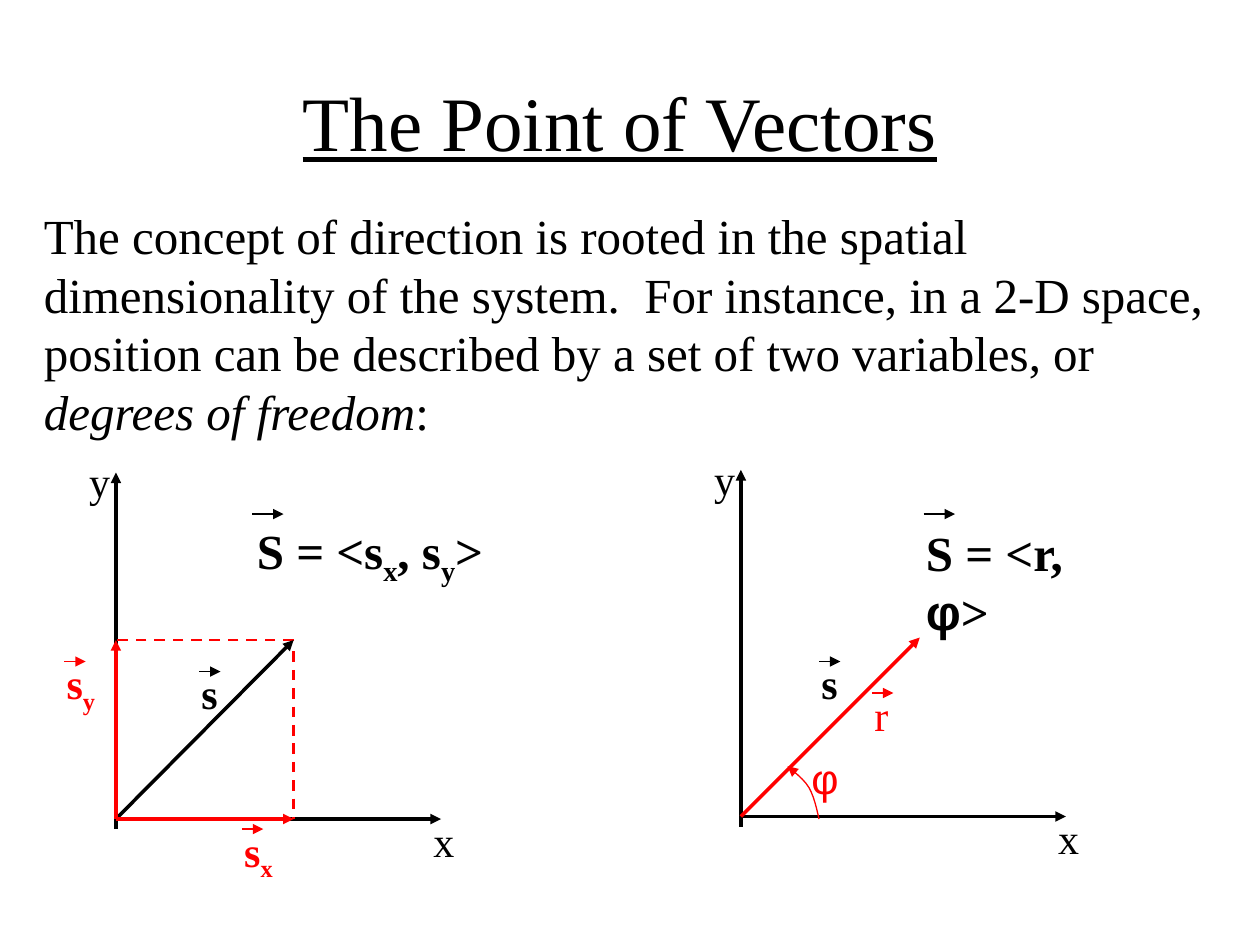
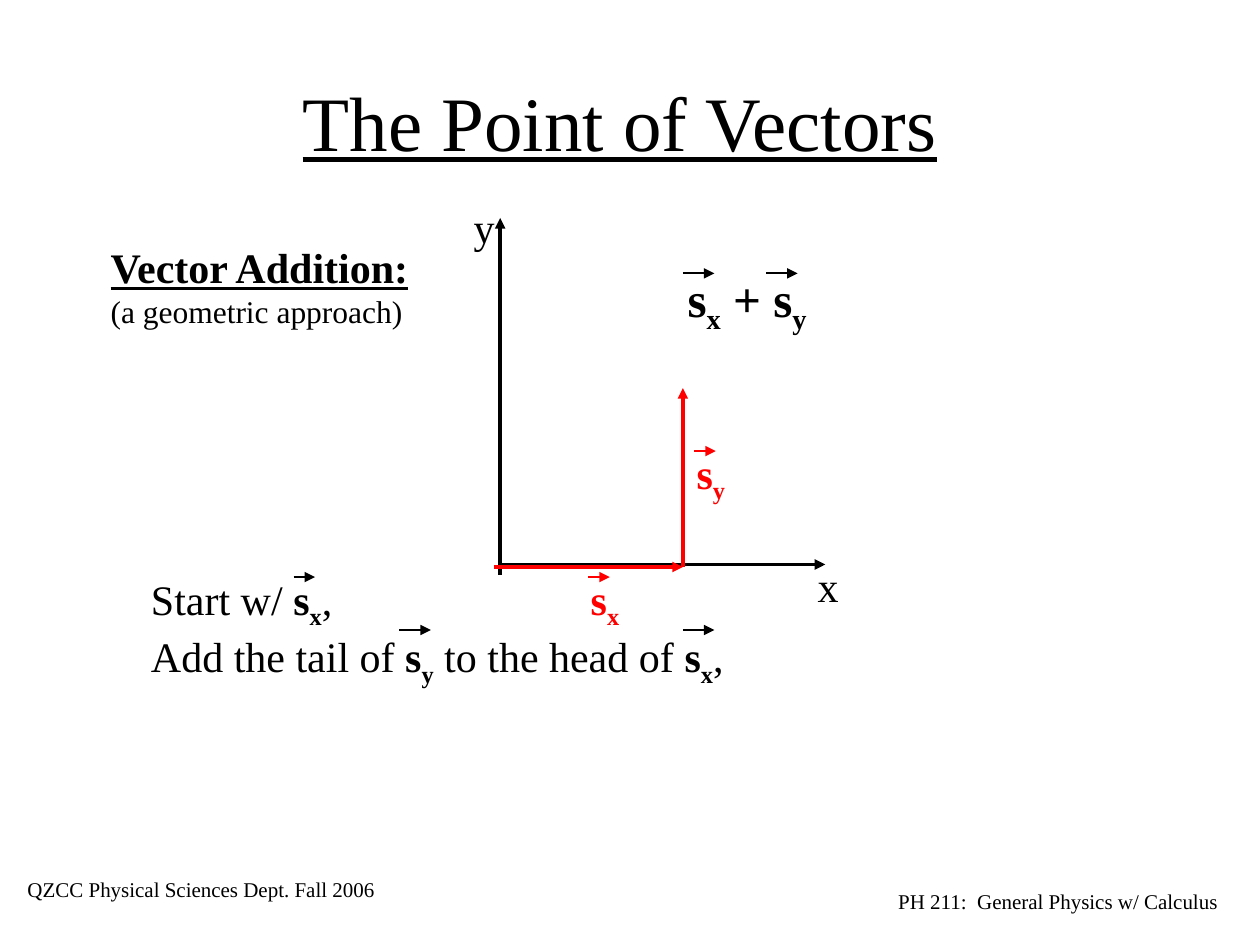
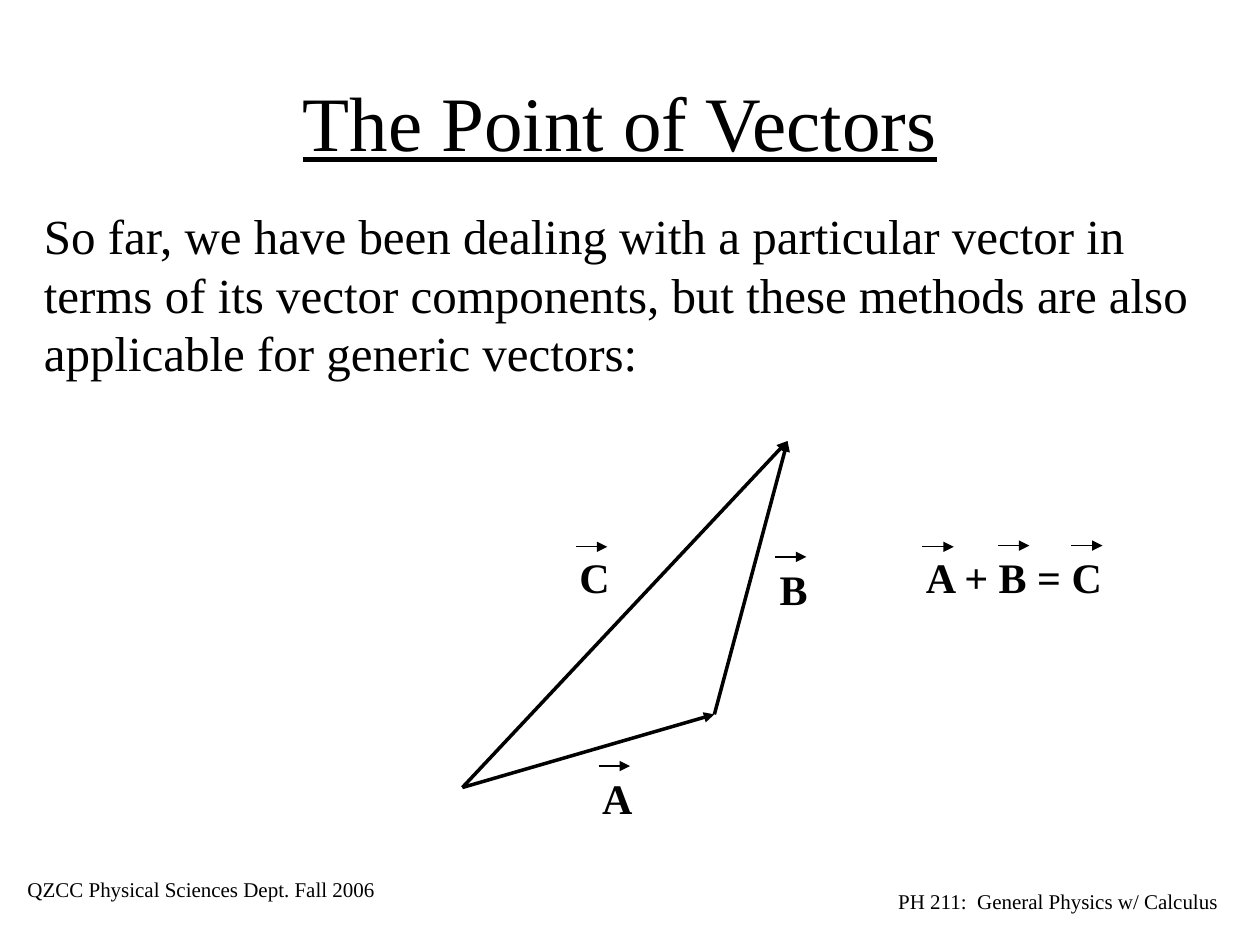
"""Build three slides that introduce vectors, their components and their addition."""
from dataclasses import dataclass

from lxml import etree
from pptx import Presentation
from pptx import util as u
from pptx.dml.color import RGBColor
from pptx.enum import dml, shapes, text
from pptx.oxml.ns import qn


@dataclass(frozen=True)
class Theme:
    black: str = "000000"
    red: str = "FF0000"
    serif: str = "Times New Roman"
    sans: str = "Arial"
    title: int = 44
    body: int = 28
    label: int = 24
    note: int = 18
    footer: int = 12
    thick: float = 2
    dashed: float = 1.5
    medium: float = 1.25
    thin: float = 0.74


THEME = Theme()
BLACK, RED = THEME.black, THEME.red
BODY, LABEL = THEME.body, THEME.label
THICK, MEDIUM, THIN = THEME.thick, THEME.medium, THEME.thin

TITLE = "The Point of Vectors"
TITLE_BOX = (0.67, 0.33, 8.5, 1.25)
BODY_BOX = (0.25, 1.58, 9.42)
LETTER_WIDTH, INDEXED_WIDTH = 0.45, 0.6
FOOTERS = [
    ((0.12, 6.91, 3.3), "QZCC Physical Sciences Dept. Fall 2006"),
    ((7.03, 7, 2.97), "PH 211:  General Physics w/ Calculus"),
]

S = [("s", "b")]
SX = S + [("x", "b_")]
SY = S + [("y", "b_")]

SLIDES = [
    {
        "footers": False,
        "axes": [(0.92, 6.5), (5.88, 6.48)],
        "arrows": [
            ((0.92, 6.5), (2.33, 5.08), BLACK, THICK),
            ((5.88, 6.48), (7.3, 5.06), RED, THICK),
            ((0.92, 6.5), (2.33, 6.5), RED, THICK),
            ((0.92, 6.5), (0.92, 5.08), RED, THICK),
        ],
        "dashes": [((2.33, 5.17), (2.33, 6.5)), ((2.33, 5.08), (0.92, 5.08))],
        "arcs": [[
            ((6.5, 6.5), (6.48, 6.41), (6.46, 6.32), (6.42, 6.25)),
            ((6.42, 6.25), (6.38, 6.18), (6.28, 6.11), (6.25, 6.08)),
        ]],
        "texts": [
            (BODY_BOX, BODY, BLACK, [[
                ("The concept of direction is rooted in the spatial dimensionality of the "
                 "system.  For instance, in a 2-D space, position can be described by a "
                 "set of two variables, or ", ""),
                ("degrees of freedom", "i"), (":", "")]]),
            ((7.25, 4.1, 1.6), BODY, BLACK,
             [[("S = <r, ", "b"), ("φ", "bg"), (">", "b")]]),
            ((1.94, 4.08, 2.3), BODY, BLACK,
             [[("S = <s", "b"), ("x", "b_"), (", s", "b"), ("y", "b_"), (">", "b")]]),
            ((6.34, 5.92, LETTER_WIDTH), LABEL, RED, [[("φ", "g")]]),
        ],
        "vectors": [
            ((6.42, 5.17, LETTER_WIDTH), BLACK, S),
            ((1.5, 5.25, LETTER_WIDTH), BLACK, S),
            ((6.84, 5.42, LETTER_WIDTH), RED, [("r", "")]),
            ((1.84, 6.5, INDEXED_WIDTH), RED, SX),
            ((0.43, 5.17, INDEXED_WIDTH), RED, SY),
        ],
        "marks": [(7.33, 4.08, 0.25, MEDIUM), (2, 4.08, 0.25, MEDIUM)],
    },
    {
        "axes": [(3.97, 4.48)],
        "arrows": [
            ((5.42, 4.5), (5.42, 3.08), RED, THICK),
            ((3.92, 4.5), (5.42, 4.5), RED, THICK),
        ],
        "texts": [
            ((5.36, 2.08, 1.4), BODY, BLACK, [SX + [(" + ", "b")] + SY]),
            ((0.78, 1.87, 2.88), LABEL, BLACK,
             [[("Vector Addition:", "bu")], [("(a geometric approach)", "n")]]),
            ((1.1, 4.5, 5.1), LABEL, BLACK, [
                [("Start w/ ", "")] + SX + [(",", "")],
                [("Add the tail of ", "")] + SY + [(" to the head of ", "")] + SX + [(",", "")],
            ]),
        ],
        "vectors": [
            ((4.59, 4.5, INDEXED_WIDTH), RED, SX),
            ((5.43, 3.5, INDEXED_WIDTH), RED, SY),
        ],
        "marks": [
            (2.33, 4.58, 0.17, THIN),
            (5.42, 2.17, 0.25, MEDIUM), (6.08, 2.17, 0.25, MEDIUM),
            (3.17, 5, 0.25, MEDIUM), (5.42, 5, 0.25, MEDIUM),
        ],
    },
    {
        "arrows": [
            ((3.67, 6.25), (5.67, 5.67), BLACK, THICK),
            ((5.67, 5.67), (6.25, 3.5), BLACK, THICK),
            ((3.67, 6.25), (6.25, 3.5), BLACK, THICK),
        ],
        "texts": [
            (BODY_BOX, BODY, BLACK, [[
                ("So far, we have been dealing with a particular vector in terms of its "
                 "vector components, but these methods are also applicable for generic "
                 "vectors:", "")]]),
            ((4.68, 6.08, INDEXED_WIDTH), LABEL, BLACK, [[("A", "b")]]),
            ((6.09, 4.42, INDEXED_WIDTH), LABEL, BLACK, [[("B", "b")]]),
            ((4.5, 4.33, INDEXED_WIDTH), LABEL, BLACK, [[("C", "b")]]),
            ((7.25, 4.33, 1.8), LABEL, BLACK, [[("A + B = C", "b")]]),
        ],
        "marks": [(left, top, 0.25, THIN) for left, top in [
            (4.75, 6.08), (6.15, 4.42), (4.57, 4.34), (7.32, 4.34), (7.92, 4.33), (8.5, 4.33)]],
    },
]


def inch(value):
    return u.Cm(value * 2.54)


def style_span(span, size, color, flags=""):
    font = span.font
    font.size = u.Pt(THEME.note if "n" in flags else size)
    font.name = THEME.sans if "g" in flags else THEME.serif
    font.color.rgb = RGBColor.from_string(color)
    font.bold, font.italic, font.underline = "b" in flags, "i" in flags, "u" in flags
    if "_" in flags:
        span._r.get_or_add_rPr().set("baseline", "-25000")


def add_text(page, place, size, color, lines):
    left, top, width = place
    height = len(lines) * size * 1.2 / 72 + 0.1
    box = page.shapes.add_textbox(inch(left), inch(top), inch(width), inch(height))
    frame = box.text_frame
    frame.word_wrap = True
    frame.auto_size = text.MSO_AUTO_SIZE.SHAPE_TO_FIT_TEXT
    for index, line in enumerate(lines):
        para = frame.add_paragraph() if index else frame.paragraphs[0]
        for words, flags in line:
            span = para.add_run()
            span.text = words
            style_span(span, size, color, flags)


def style_line(shape, color, width, arrow=True):
    shape.line.color.rgb = RGBColor.from_string(color)
    shape.line.width = u.Pt(width)
    if arrow:
        etree.SubElement(shape.line._get_or_add_ln(), qn("a:tailEnd"), type="triangle")


def add_line(page, start, end, color, width, arrow=True):
    line = page.shapes.add_connector(
        shapes.MSO_CONNECTOR.STRAIGHT, *(inch(value) for value in (*start, *end)))
    style_line(line, color, width, arrow)
    etree.SubElement(line._element.spPr, qn("a:effectLst"))
    return line


def add_mark(page, left, top, length, width, color=BLACK):
    add_line(page, (left, top), (left + length, top), color, width)


def add_axes(page, x, y):
    add_line(page, (x, y + 0.08), (x, y - 2.75), BLACK, THICK)
    add_line(page, (x, y), (x + 2.58, y), BLACK, THICK)
    for name, left, top in (("y", x - 0.31, y - 2.93), ("x", x + 2.42, y - 0.08)):
        add_text(page, (left, top, LETTER_WIDTH), LABEL, BLACK, [[(name, "")]])


def curve_point(curve, t):
    weights = ((1 - t) ** 3, 3 * t * (1 - t) ** 2, 3 * t * t * (1 - t), t ** 3)
    return tuple(inch(sum(w * point[axis] for w, point in zip(weights, curve)))
                 for axis in (0, 1))


def add_arc(page, curves, steps=6):
    points = [curve_point(curve, step / steps)
              for curve in curves for step in range(1, steps + 1)]
    builder = page.shapes.build_freeform(*curve_point(curves[0], 0))
    builder.add_line_segments(points, close=False)
    arc = builder.convert_to_shape()
    arc.shadow.inherit = False
    arc.fill.background()
    style_line(arc, RED, THIN)


def add_title(page):
    title = page.shapes.title
    title.left, title.top, title.width, title.height = map(inch, TITLE_BOX)
    frame = title.text_frame
    frame.vertical_anchor = text.MSO_ANCHOR.MIDDLE
    frame.auto_size = text.MSO_AUTO_SIZE.NONE
    para = frame.paragraphs[0]
    para.alignment = text.PP_ALIGN.CENTER
    span = para.add_run()
    span.text = TITLE
    style_span(span, THEME.title, BLACK, "u")


def build_page(deck, content):
    page = deck.slides.add_slide(deck.slide_layouts[5])
    add_title(page)
    if content.get("footers", True):
        for place, words in FOOTERS:
            add_text(page, place, THEME.footer, BLACK, [[(words, "")]])
    for origin in content.get("axes", []):
        add_axes(page, *origin)
    for start, end in content.get("dashes", []):
        line = add_line(page, start, end, RED, THEME.dashed, arrow=False)
        line.line.dash_style = dml.MSO_LINE.DASH
    for arrow in content["arrows"]:
        add_line(page, *arrow)
    for curves in content.get("arcs", []):
        add_arc(page, curves)
    for item in content["texts"]:
        add_text(page, *item)
    for place, color, spans in content.get("vectors", []):
        add_text(page, place, LABEL, color, [spans])
        add_mark(page, place[0] + 0.08, place[1] + 0.08, 0.17, THIN, color)
    for mark in content["marks"]:
        add_mark(page, *mark)


deck = Presentation()
deck.slide_width, deck.slide_height = inch(10), inch(7.5)
for content in SLIDES:
    build_page(deck, content)
deck.save("out.pptx")
